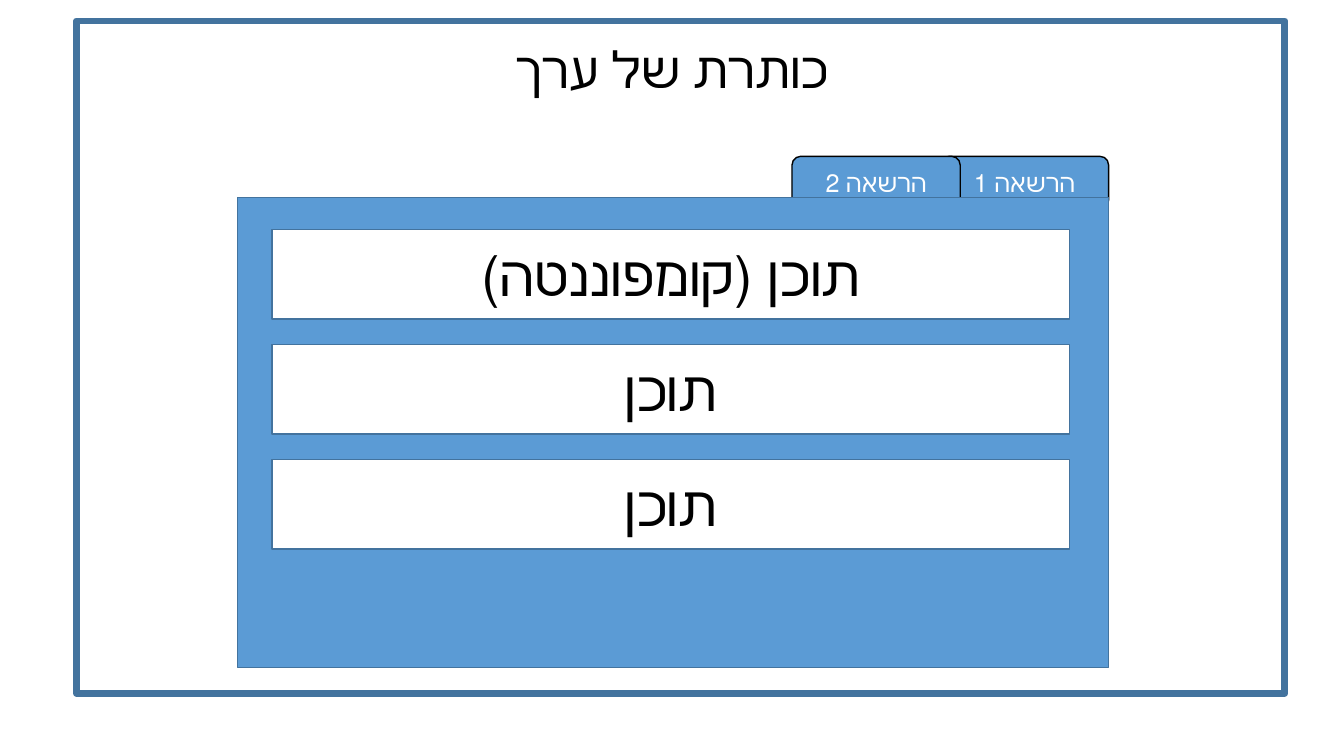
from pptx import Presentation
from pptx.dml.color import RGBColor
from pptx.enum.lang import MSO_LANGUAGE_ID
from pptx.enum.shapes import MSO_SHAPE
from pptx.enum.text import MSO_ANCHOR, MSO_AUTO_SIZE, PP_ALIGN
from pptx.util import Cm, Pt

BLUE = RGBColor(0x5B, 0x9B, 0xD5)
DARK_BLUE = RGBColor(0x43, 0x73, 0x9E)
WHITE = RGBColor(0xFF, 0xFF, 0xFF)
BLACK = RGBColor(0x00, 0x00, 0x00)

TABS = ["הרשאה 1", "הרשאה 2"]
CONTENTS = ["תוכן (קומפוננטה)", "תוכן", "תוכן"]


def write_hebrew(box, text, size, color):
    """Centred right-to-left text."""
    box.text_frame.text = text
    box.text_frame.word_wrap = True
    paragraph = box.text_frame.paragraphs[0]
    paragraph.alignment = PP_ALIGN.CENTER
    paragraph._p.get_or_add_pPr().set("rtl", "1")
    font = paragraph.runs[0].font
    font.name = "Calibri"
    font.size = Pt(size)
    font.color.rgb = color
    font.language_id = MSO_LANGUAGE_ID.HEBREW


def add_title(page, text):
    box = page.shapes.add_textbox(Cm(9.78), Cm(0.84), Cm(14.3), Cm(1.8))
    write_hebrew(box, text, 36, BLACK)
    box.text_frame.auto_size = MSO_AUTO_SIZE.SHAPE_TO_FIT_TEXT


def add_block(page, kind, left, top, width, height, fill, line, line_width=1):
    block = page.shapes.add_shape(kind, Cm(left), Cm(top), Cm(width), Cm(height))
    block.shadow.inherit = False
    if fill is None:
        block.fill.background()
    else:
        block.fill.solid()
        block.fill.fore_color.rgb = fill
    block.line.color.rgb = line
    block.line.width = Pt(line_width)
    block.text_frame.vertical_anchor = MSO_ANCHOR.MIDDLE
    return block


def main():
    deck = Presentation()
    deck.slide_width, deck.slide_height = Cm(33.87), Cm(19.05)
    page = deck.slides.add_slide(deck.slide_layouts[6])

    add_title(page, "כותרת של ערך")

    # Permission tabs, from right to left
    for index, label in enumerate(TABS):
        tab = add_block(page, MSO_SHAPE.ROUNDED_RECTANGLE,
                        23.7 - 3.74 * index, 3.94, 4.24, 1.32, BLUE, BLACK)
        write_hebrew(tab, label, 18, WHITE)

    # Panel that covers the lower edge of the tabs
    add_block(page, MSO_SHAPE.RECTANGLE, 5.99, 4.98, 21.95, 11.84, BLUE, DARK_BLUE)

    # Content rows
    for index, label in enumerate(CONTENTS):
        row = add_block(page, MSO_SHAPE.RECTANGLE,
                        6.86, 5.78 + 2.9 * index, 20.09, 2.26, WHITE, DARK_BLUE)
        write_hebrew(row, label, 40, BLACK)

    # Frame around everything
    add_block(page, MSO_SHAPE.RECTANGLE, 1.93, 0.53, 30.45, 16.94, None, DARK_BLUE, 5)

    deck.save("out.pptx")


if __name__ == "__main__":
    main()
